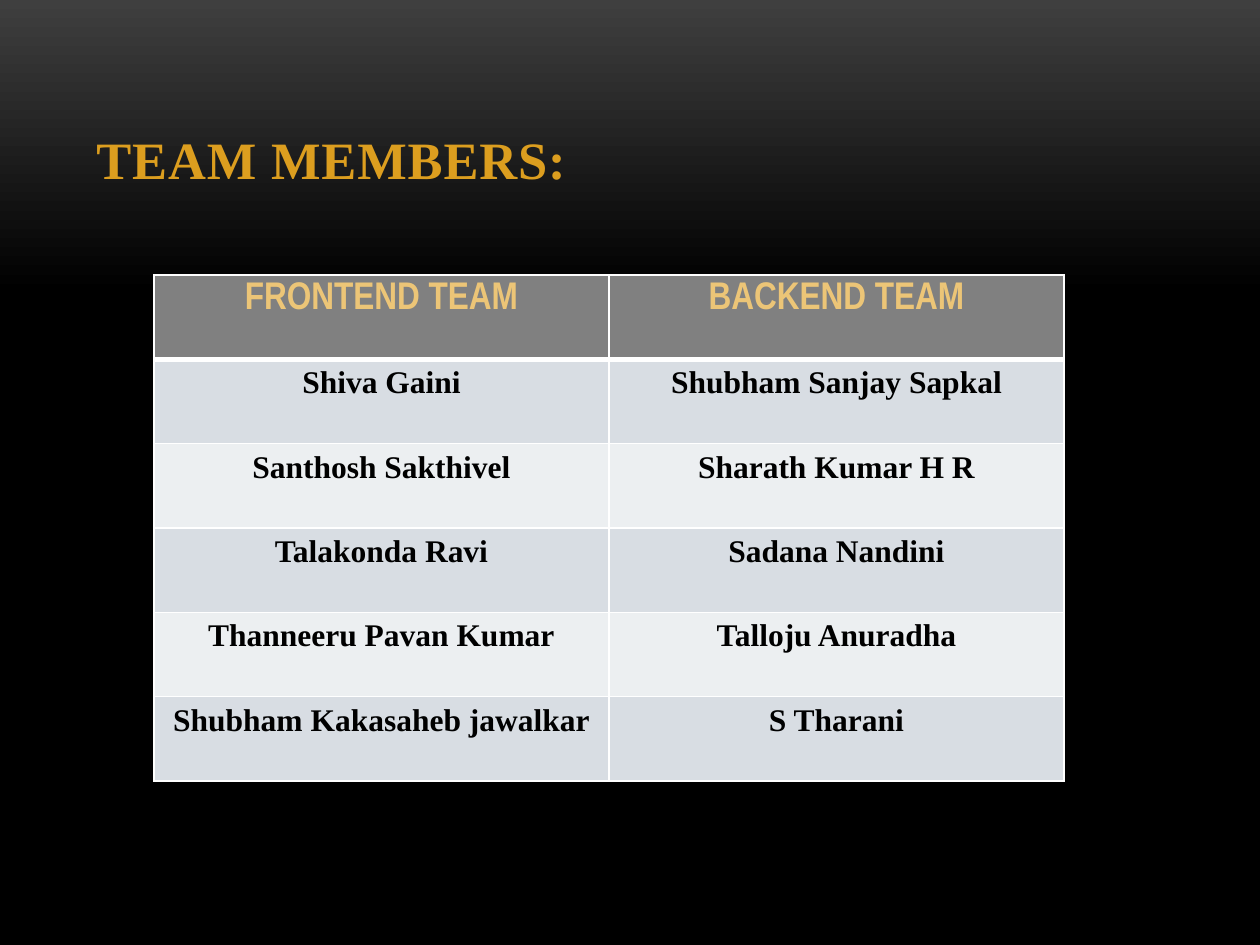
from lxml import etree
from pptx import Presentation
from pptx.dml.color import RGBColor
from pptx.enum.text import MSO_ANCHOR, PP_ALIGN
from pptx.oxml.ns import qn

CENTER = PP_ALIGN.CENTER
BOTTOM = MSO_ANCHOR.BOTTOM
PX = 914400 / 126
PT = 12700


def rgb(value):
    return RGBColor.from_string(value)


def write(p, text, color, **formats):
    r = p.add_run()
    r.text = text
    r.font.color.rgb = rgb(color)
    for name, value in formats.items():
        setattr(r.font, name, value)
    return r


prs = Presentation()
prs.slide_width, prs.slide_height = int(1260 * PX), int(945 * PX)
s = prs.slides.add_slide(prs.slide_layouts[6])

fill = s.background.fill
fill.gradient()
fill.gradient_angle = 270
for stop, (position, color) in zip(fill.gradient_stops, [(0, "3F3F3F"), (0.31, "000000")]):
    stop.position = position
    stop.color.rgb = rgb(color)

title = s.shapes.add_textbox(*[int(v * PX) for v in (84, 38, 1092, 158)])
tf = title.text_frame
tf.word_wrap = True
tf.vertical_anchor = BOTTOM
r = write(tf.paragraphs[0], "TEAM MEMBERS:", "DC9E1F",
          name="Times New Roman", size=30 * PT, bold=True)
r.font._element.set("spc", "50")

rows = [
    ("FRONTEND TEAM", "BACKEND TEAM"),
    ("Shiva Gaini", "Shubham Sanjay Sapkal"),
    ("Santhosh Sakthivel", "Sharath Kumar H R"),
    ("Talakonda Ravi", "Sadana Nandini"),
    ("Thanneeru Pavan Kumar", "Talloju Anuradha"),
    ("Shubham Kakasaheb jawalkar", "S Tharani"),
]
header = {"color": "ECC577", "name": "Arial Narrow", "size": 22 * PT, "bold": True}
body = {"color": "000000", "name": "Times New Roman", "size": 18 * PT, "bold": True}

table = s.shapes.add_table(len(rows), 2, *[int(v * PX) for v in (154, 275, 910, 506)]).table
for i, names in enumerate(rows):
    band = "808080" if i == 0 else ("ECEFF1", "D8DDE3")[i % 2]
    for j, name in enumerate(names):
        cell = table.cell(i, j)
        p = cell.text_frame.paragraphs[0]
        p.alignment = CENTER
        write(p, name, **(body if i else header))
        tcPr = cell._tc.get_or_add_tcPr()
        for side in "LRTB":
            thick = (i, side) in [(0, "B"), (1, "T")]
            ln = etree.SubElement(tcPr, qn(f"a:ln{side}"), w=str((3 if thick else 1) * PT))
            solid = etree.SubElement(ln, qn("a:solidFill"))
            etree.SubElement(solid, qn("a:srgbClr"), val="FFFFFF")
        cell.fill.solid()
        cell.fill.fore_color.rgb = rgb(band)

prs.save("out.pptx")
